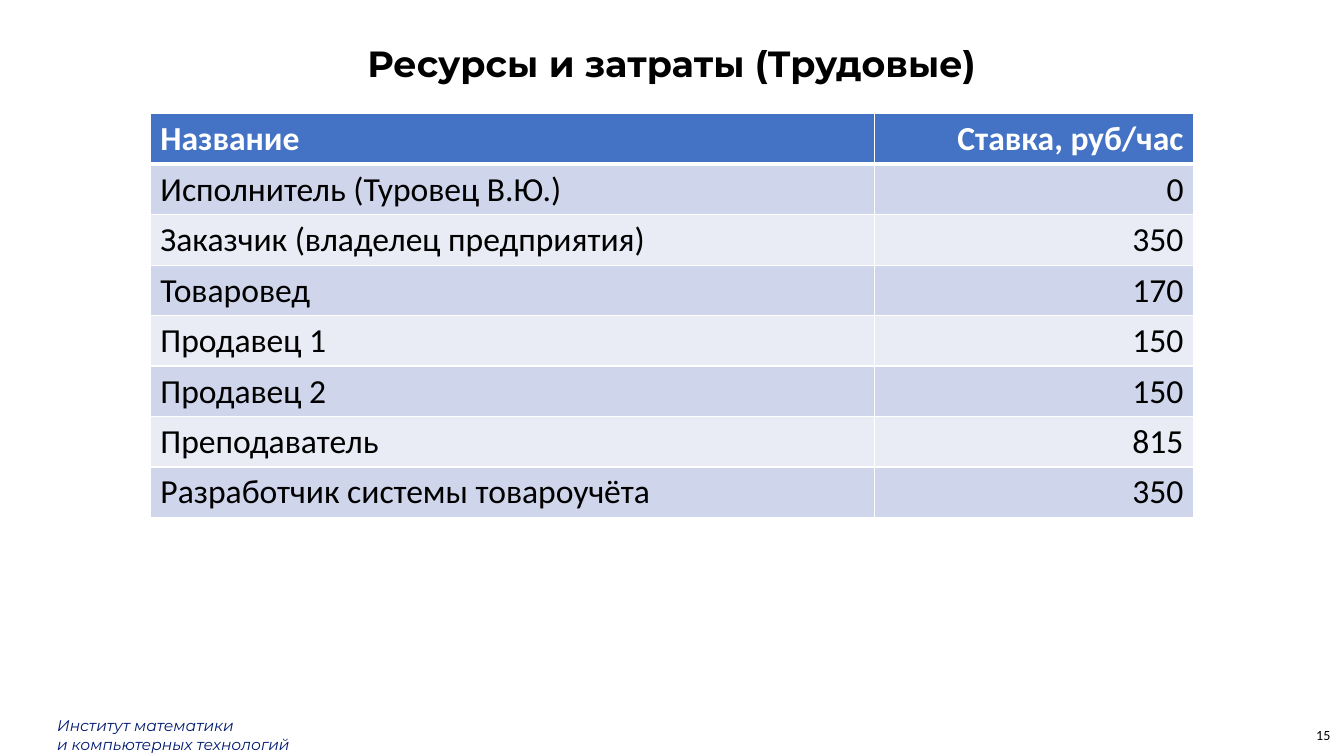
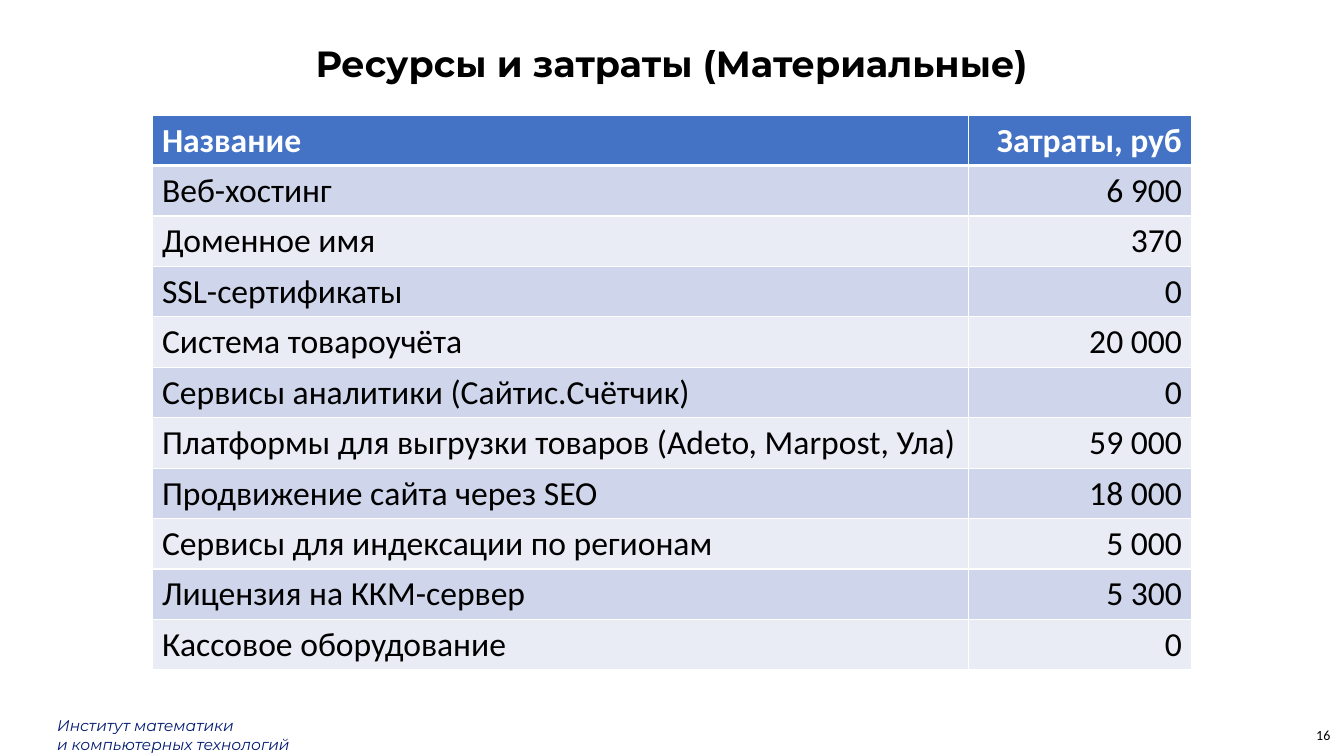
import pptx
import pptx.dml.color
import pptx.enum.text
import pptx.oxml
import pptx.oxml.ns
import pptx.util

Cm = pptx.util.Cm
Pt = pptx.util.Pt
Align = pptx.enum.text.PP_ALIGN
Anchor = pptx.enum.text.MSO_ANCHOR

# Shared style
SLIDE_WIDTH, SLIDE_HEIGHT = 33.87, 19.05
TITLE_FONT, BODY_FONT = "Montserrat", "Calibri"
BLACK, WHITE, NAVY = "000000", "FFFFFF", "001A72"
HEADER_FILL, BAND_FILLS = "4472C4", ("CFD5EA", "E9EBF5")
ROW_HEIGHT = 1.27
TITLE_BOX = (0, 0.79, SLIDE_WIDTH, 1.63)
NUMBER_BOX = (32.97, 18.01, 0.86, 1.04)
INSTITUTE_BOX = (1.19, 17.93, 16.94, 1.19)
INSTITUTE = "Институт математики\vи компьютерных технологий"

LABOUR = [
    ("Название", "Ставка, руб/час"),
    ("Исполнитель (Туровец В.Ю.)", "0"),
    ("Заказчик (владелец предприятия)", "350"),
    ("Товаровед", "170"),
    ("Продавец 1", "150"),
    ("Продавец 2", "150"),
    ("Преподаватель", "815"),
    ("Разработчик системы товароучёта", "350"),
]
MATERIALS = [
    ("Название", "Затраты, руб"),
    ("Веб-хостинг", "6 900"),
    ("Доменное имя", "370"),
    ("SSL-сертификаты", "0"),
    ("Система товароучёта", "20 000"),
    ("Сервисы аналитики (Сайтис.Счётчик)", "0"),
    ("Платформы для выгрузки товаров (Adeto, Marpost, Ула)", "59 000"),
    ("Продвижение сайта через SEO", "18 000"),
    ("Сервисы для индексации по регионам", "5 000"),
    ("Лицензия на ККМ-сервер", "5 300"),
    ("Кассовое оборудование", "0"),
]


def rgb(value):
    return pptx.dml.color.RGBColor.from_string(value)


def write_text(frame, text, size, font=BODY_FONT, color=BLACK, bold=False,
               italic=False, align=Align.LEFT):
    paragraph = frame.paragraphs[0]
    paragraph.text = text
    paragraph.alignment = align
    for run in paragraph.runs:
        run.font.name = font
        run.font.size = Pt(size)
        run.font.bold = bold
        run.font.italic = italic
        run.font.color.rgb = rgb(color)


def set_insets(frame, horizontal, vertical):
    frame.margin_left = frame.margin_right = Cm(horizontal)
    frame.margin_top = frame.margin_bottom = Cm(vertical)


def add_title(slide, box, text):
    title = slide.shapes.title
    title.left, title.top, title.width, title.height = map(Cm, box)
    frame = title.text_frame
    frame.word_wrap = True
    frame.auto_size = pptx.enum.text.MSO_AUTO_SIZE.NONE
    frame.vertical_anchor = Anchor.TOP
    set_insets(frame, 0.25, 0.25)
    write_text(frame, text, 26, font=TITLE_FONT, bold=True, align=Align.CENTER)


def add_footer(slide, institute_box, number_box, number):
    page = slide.shapes.add_textbox(*map(Cm, number_box)).text_frame
    page.vertical_anchor = Anchor.MIDDLE
    set_insets(page, 0.2, 0.1)
    page.word_wrap = True
    write_text(page, str(number), 10)

    institute = slide.shapes.add_textbox(*map(Cm, institute_box)).text_frame
    institute.word_wrap = True
    write_text(institute, INSTITUTE, 11, font=TITLE_FONT, color=NAVY, italic=True)


def set_borders(cell, top, bottom):
    properties = cell._tc.get_or_add_tcPr()
    namespace = pptx.oxml.ns.nsdecls("a")
    for side, width in (("L", 1), ("R", 1), ("T", top), ("B", bottom)):
        properties.append(pptx.oxml.parse_xml(
            f'<a:ln{side} {namespace} w="{Pt(width)}"><a:solidFill>'
            f'<a:srgbClr val="{WHITE}"/></a:solidFill></a:ln{side}>'))


def add_cost_table(slide, top, column_widths, rows):
    """Place a table centred across the slide."""
    width = sum(column_widths)
    table = slide.shapes.add_table(
        len(rows), len(column_widths), Cm((SLIDE_WIDTH - width) / 2), Cm(top),
        Cm(width), Cm(ROW_HEIGHT * len(rows))).table
    for column, column_width in zip(table.columns, column_widths):
        column.width = Cm(column_width)
    for r, values in enumerate(rows):
        header = r == 0
        for c, value in enumerate(values):
            cell = table.cell(r, c)
            cell.vertical_anchor = Anchor.MIDDLE
            # The rule under the header is thicker
            set_borders(cell, top=3 if r == 1 else 1, bottom=3 if header else 1)
            cell.fill.solid()
            cell.fill.fore_color.rgb = rgb(
                HEADER_FILL if header else BAND_FILLS[(r - 1) % 2])
            write_text(cell.text_frame, value, 24, bold=header,
                       color=WHITE if header else BLACK,
                       align=Align.RIGHT if c else Align.LEFT)


def add_cost_slide(deck, number, title, top, column_widths, rows):
    slide = deck.slides.add_slide(deck.slide_layouts[5])
    add_title(slide, TITLE_BOX, title)
    add_footer(slide, INSTITUTE_BOX, NUMBER_BOX, number)
    add_cost_table(slide, top, column_widths, rows)


def main():
    deck = pptx.Presentation()
    deck.slide_width, deck.slide_height = Cm(SLIDE_WIDTH), Cm(SLIDE_HEIGHT)
    add_cost_slide(deck, 15, "Ресурсы и затраты (Трудовые)",
                   2.87, (18.24, 8.05), LABOUR)
    add_cost_slide(deck, 16, "Ресурсы и затраты (Материальные)",
                   2.9, (20.57, 5.64), MATERIALS)
    deck.save("out.pptx")


if __name__ == "__main__":
    main()
